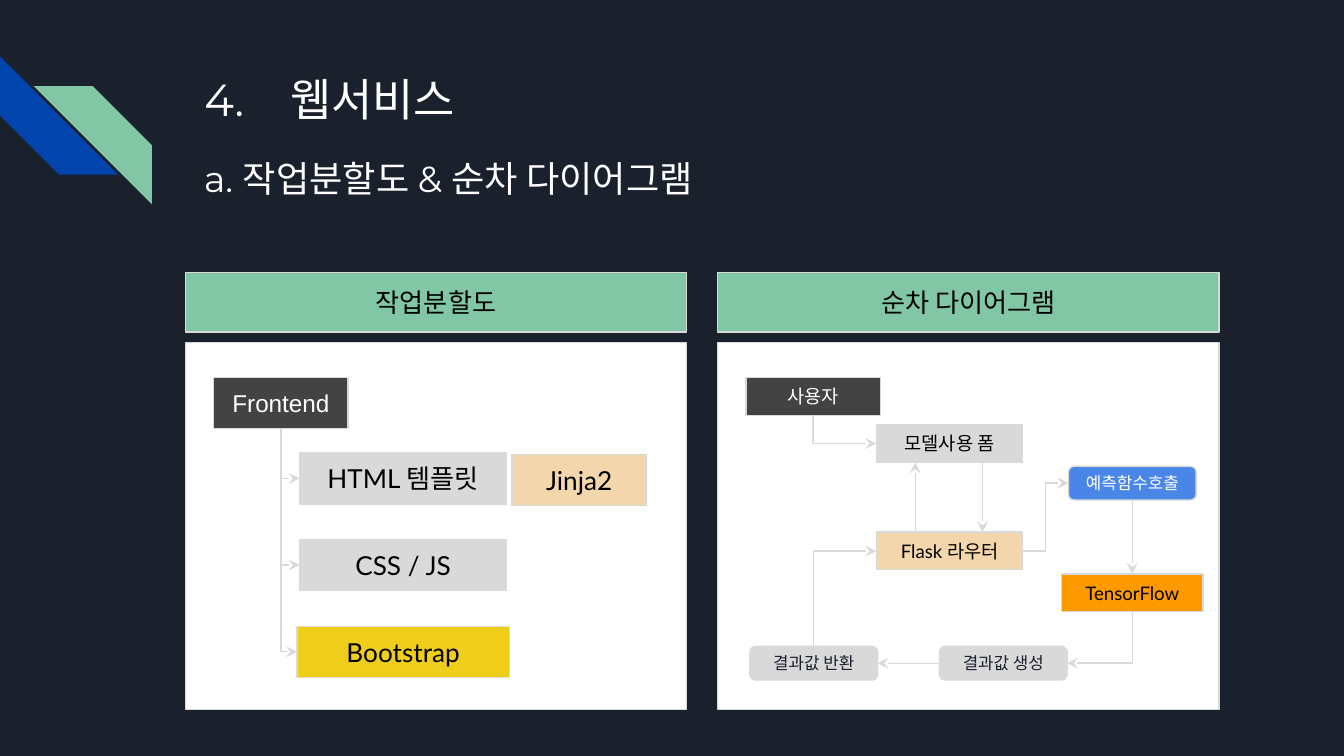
from pptx import Presentation
from pptx.dml.color import RGBColor
from pptx.enum.shapes import MSO_CONNECTOR as Wire, MSO_SHAPE as Kind
from pptx.enum.text import MSO_ANCHOR as Anchor, MSO_AUTO_SIZE as Auto, PP_ALIGN as Align
from pptx.oxml.ns import qn
from pptx.util import Inches, Pt
from lxml.etree import SubElement

NAVY = RGBColor(0x1B, 0x21, 0x2C)
BLUE = RGBColor(0x01, 0x45, 0xAC)
GREEN = RGBColor(0x82, 0xC7, 0xA5)
WHITE = RGBColor(0xFF, 0xFF, 0xFF)
BLACK = RGBColor(0, 0, 0)
GRAY = RGBColor(0xD9, 0xD9, 0xD9)
DARK = RGBColor(0x43, 0x43, 0x43)
GOLD = RGBColor(0xEE, 0xCE, 0x1A)
SAND = RGBColor(0xF4, 0xD6, 0xAD)
ORANGE = RGBColor(0xFF, 0x99, 0x00)
SKY = RGBColor(0x4A, 0x86, 0xE8)

deck = Presentation()
deck.slide_width, deck.slide_height = Inches(10), Inches(5.625)
U = deck.slide_width / 100  # grid of 100 columns, square cells
slide = deck.slides.add_slide(deck.slide_layouts[5])
slide.background.fill.solid()
slide.background.fill.fore_color.rgb = NAVY
shapes = slide.shapes
TOP, LEFT, BOTTOM, RIGHT = range(4)  # connection sites of a box


def box(x, y, w, h, fill, text="", size=14, ink=BLACK, font="Lato", kind=Kind.RECTANGLE):
    item = shapes.add_shape(kind, *(int(n * U) for n in (x, y, w, h)))
    item.shadow.inherit = False
    item.fill.solid()
    item.fill.fore_color.rgb = fill
    item.line.color.rgb = GRAY
    item.line.width = Pt(0.75)
    if text:
        frame = item.text_frame
        frame.word_wrap = True
        frame.vertical_anchor = Anchor.MIDDLE
        frame.margin_left = frame.margin_right = frame.margin_top = frame.margin_bottom = int(U)
        para = frame.paragraphs[0]
        para.text = text
        para.alignment = Align.CENTER
        para.font.size, para.font.name, para.font.color.rgb = Pt(size), font, ink
    return item


def style(wire, end="tailEnd"):
    wire.line.color.rgb = GRAY
    wire.line.width = Pt(0.75)
    props = wire.element.spPr
    SubElement(props.find(qn("a:ln")), qn("a:" + end), type="stealth")
    SubElement(props, qn("a:effectLst"))


# Corner stripes
for x, y, fill in ((0, 4.2, BLUE), (2.5, 6.4, GREEN)):
    stripe = box(x, y, 8.8, 8.8, fill, kind=Kind.DIAGONAL_STRIPE)
    stripe.adjustments[0] = 0.5
    stripe.line.fill.background()
    if fill == BLUE:
        stripe.rotation = 270
    else:
        stripe.element.spPr.find(qn("a:xfrm")).set("flipH", "1")

# Title and subtitle
title = shapes.title
sub = shapes.add_textbox(0, 0, 0, 0)
for item, y, w, h, text, size in (
    (title, 4.3, 77, 6.1, "4.\t웹서비스", 24),
    (sub, 10.6, 84.1, 5.3, "a. 작업분할도 & 순차 다이어그램", 19.4),
):
    item.left, item.top, item.width, item.height = (int(n * U) for n in (14.2, y, w, h))
    frame = item.text_frame
    frame.word_wrap = True
    frame.auto_size = Auto.NONE
    frame.vertical_anchor = Anchor.TOP
    frame.margin_left = frame.margin_right = frame.margin_top = frame.margin_bottom = int(U)
    para = frame.paragraphs[0]
    para.text = text
    para.alignment = Align.LEFT
    if item is title:
        tabs = SubElement(para._p.get_or_add_pPr(), qn("a:tabLst"))
        SubElement(tabs, qn("a:tab"), pos=str(int(6.4 * U)), algn="l")
    para.font.size, para.font.name, para.font.color.rgb = Pt(size), "Montserrat", WHITE

# Panels with their headers
for x, text in ((13.8, "작업분할도"), (53.4, "순차 다이어그램")):
    box(x, 20.3, 37.3, 4.4, GREEN, text)
    box(x, 25.5, 37.3, 27.3, WHITE)

# Work breakdown
front = box(15.9, 28.1, 10, 3.8, DARK, "Frontend", 13, WHITE, "Arial")
parts = [
    box(x, 33.7 + 6.45 * row, w, 3.8, fill, text)
    for row, (x, w, fill, text) in enumerate((
        (22.3, 15.4, GRAY, "HTML 템플릿"),
        (22.3, 15.4, GRAY, "CSS / JS"),
        (22.1, 15.8, GOLD, "Bootstrap"),
    ))
]
box(38.1, 33.8, 10, 3.8, SAND, "Jinja2")

# Sequence diagram
user = box(55.5, 28.1, 10, 2.8, DARK, "사용자", 10, WHITE, "Arial")
form = box(65.2, 31.6, 10.9, 2.8, GRAY, "모델사용 폼", 10)
router = box(65.2, 39.6, 10.9, 2.8, SAND, "Flask 라우터", 10)
model = box(79, 42.7, 10.5, 2.8, ORANGE, "TensorFlow", 10)
call, back, made = (
    box(x, y, 9.5, 2.5, fill, text, 9, ink, kind=Kind.ROUNDED_RECTANGLE)
    for x, y, fill, text, ink in (
        (79.5, 34.7, SKY, "예측함수호출", WHITE),
        (55.8, 48.1, GRAY, "결과값 반환", NAVY),
        (69.9, 48.1, GRAY, "결과값 생성", NAVY),
    )
)

# One-bend arrows, drawn from the arrowhead back to the source
for goal, side, start, exit in (
    *((part, LEFT, front, BOTTOM) for part in parts),
    (form, LEFT, user, BOTTOM),
    (made, RIGHT, model, BOTTOM),
    (router, LEFT, back, TOP),
):
    wire = shapes.add_connector(Wire.ELBOW, 0, 0, 0, 0)
    wire.begin_connect(goal, side)
    wire.end_connect(start, exit)
    wire.element.spPr.find(qn("a:prstGeom")).set("prst", "bentConnector2")
    style(wire, "headEnd")

# Two-bend and straight arrows between boxes
for kind, start, exit, goal, side in (
    (Wire.ELBOW, router, RIGHT, call, LEFT),
    (Wire.STRAIGHT, call, BOTTOM, model, TOP),
    (Wire.STRAIGHT, made, LEFT, back, RIGHT),
):
    wire = shapes.add_connector(kind, 0, 0, 0, 0)
    wire.begin_connect(start, exit)
    wire.end_connect(goal, side)
    style(wire)

# Form and router exchange
low, high = form.top + form.height, router.top
for x, y, end in ((73.1, low, high), (68.1, high, low)):
    style(shapes.add_connector(Wire.STRAIGHT, int(x * U), y, int(x * U), end))

deck.save("out.pptx")
